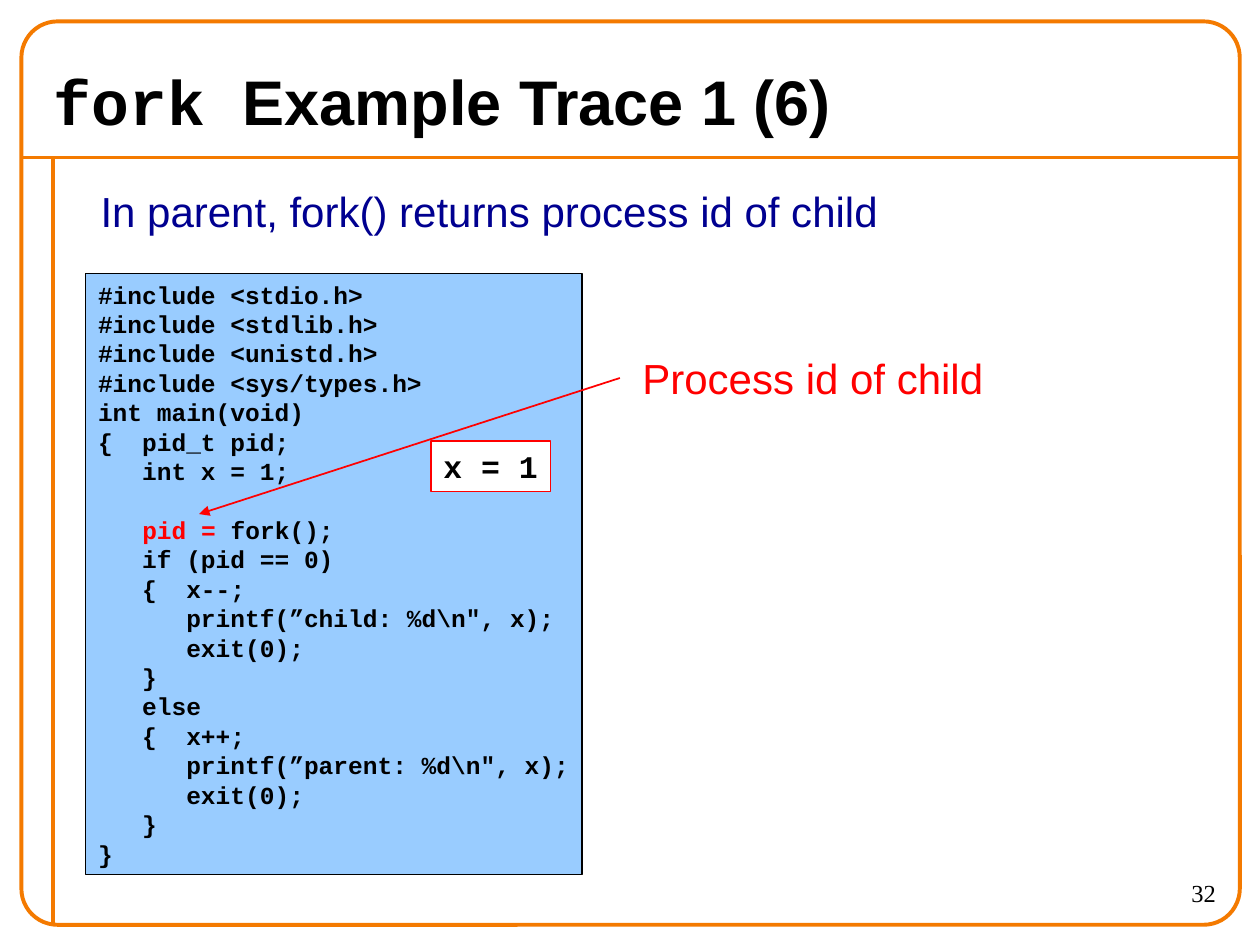
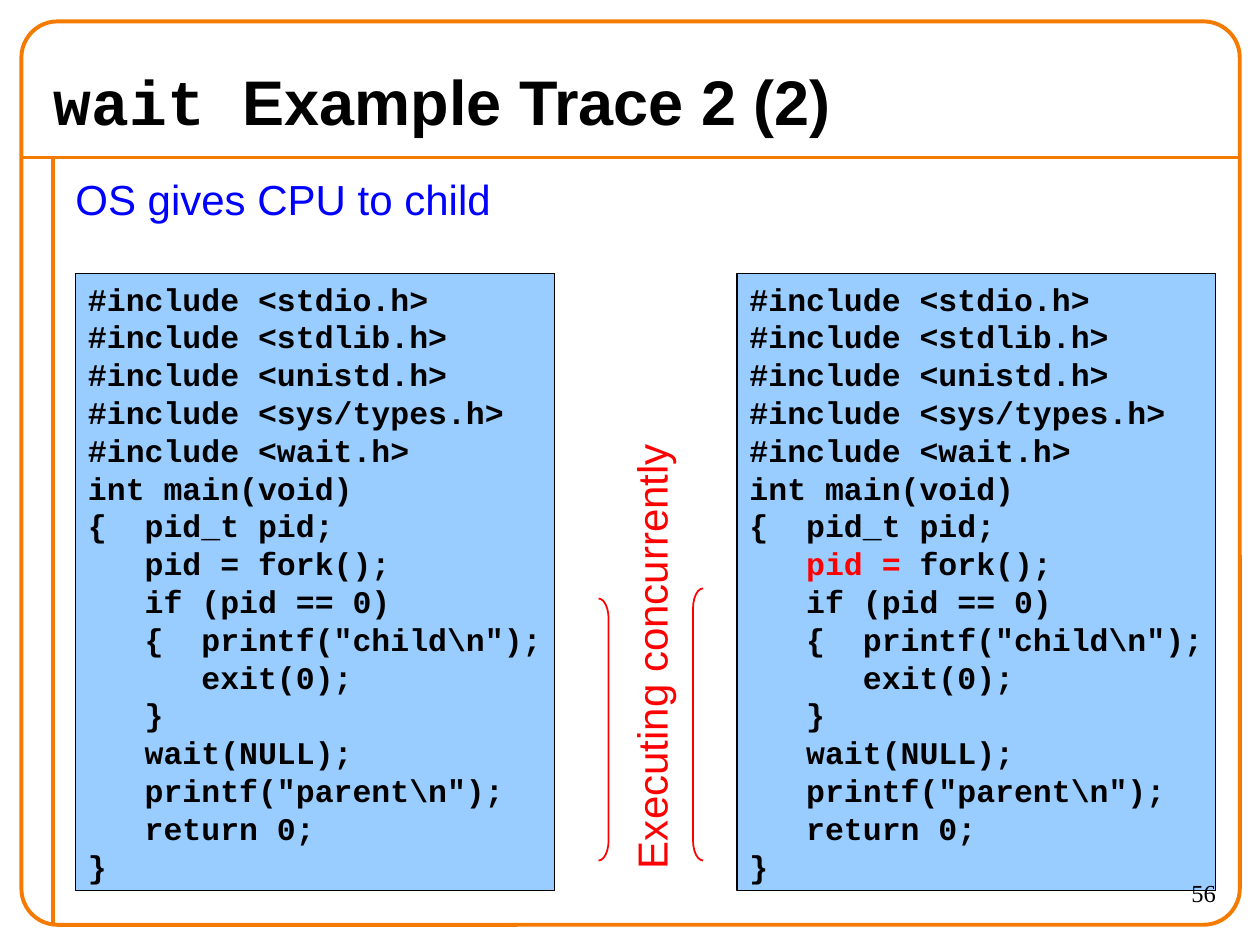
from dataclasses import dataclass

import pptx
import pptx.dml.color
import pptx.enum.shapes
import pptx.enum.text
import pptx.oxml
import pptx.oxml.ns
import pptx.util

SCALE = 9144
HUES = {
    "ink": "000000",
    "frame": "F47A00",
    "code": "99CCFF",
    "paper": "FFFFFF",
    "red": "FF0000",
    "navy": "000090",
    "blue": "0000FF",
}
SANS, MONO, SERIF = "Arial", "Courier New", "Times New Roman"
FORMS = pptx.enum.shapes.MSO_SHAPE
ALIGN = pptx.enum.text.PP_ALIGN
MARK = "pid = "

FORK = r'''#include <stdio.h>
#include <stdlib.h>
#include <unistd.h>
#include <sys/types.h>
int main(void)
{  pid_t pid;
   int x = 1;

   pid = fork();
   if (pid == 0)
   {  x--;
      printf(”child: %d\n", x);
      exit(0);
   }
   else
   {  x++;
      printf(”parent: %d\n", x);
      exit(0);
   }
}'''

WAIT = r'''#include <stdio.h>
#include <stdlib.h>
#include <unistd.h>
#include <sys/types.h>
#include <wait.h>
int main(void)
{  pid_t pid;
   pid = fork();
   if (pid == 0)
   {  printf("child\n");
      exit(0);
   }
   wait(NULL);
   printf("parent\n");
   return 0;
}'''


@dataclass(frozen=True)
class Box:
    left: int
    top: int
    width: int
    height: int


@dataclass(frozen=True)
class Run:
    text: str
    size: int
    hue: str = "ink"
    font: str = SANS
    bold: bool = False


@dataclass(frozen=True)
class Code:
    text: str
    size: int
    box: Box
    marked: bool = False
    fill: str = "code"
    edge: str = "ink"


@dataclass(frozen=True)
class Label:
    run: Run
    box: Box
    turn: int = 0


@dataclass(frozen=True)
class Line:
    start: tuple[int, int]
    end: tuple[int, int]
    hue: str
    weight: float
    arrow: bool = False


@dataclass(frozen=True)
class Brace:
    form: FORMS
    box: Box


@dataclass(frozen=True)
class Page:
    call: str
    title: str
    number: int
    codes: tuple[Code, ...]
    labels: tuple[Label, ...]
    lines: tuple[Line, ...] = ()
    braces: tuple[Brace, ...] = ()


def px(count: int) -> int:
    return count * SCALE


def rgb(hue: str) -> pptx.dml.color.RGBColor:
    return pptx.dml.color.RGBColor.from_string(HUES[hue])


def spots(box: Box) -> tuple[int, ...]:
    return px(box.left), px(box.top), px(box.width), px(box.height)


def add_run(para, run: Run) -> None:
    part = para.add_run()
    part.text = run.text
    font = part.font
    font.name, font.size, font.bold = run.font, pptx.util.Pt(run.size), run.bold
    font.color.rgb = rgb(run.hue)


def set_frame(shape):
    frame = shape.text_frame
    frame.word_wrap = True
    frame.margin_left, frame.margin_right = px(10), 0
    frame.margin_top = frame.margin_bottom = px(5)
    return frame


def add_text(slide, box: Box, runs: list[Run], align=ALIGN.LEFT):
    shape = slide.shapes.add_textbox(*spots(box))
    frame = set_frame(shape)
    para = frame.paragraphs[0]
    para.alignment = align
    for run in runs:
        add_run(para, run)
    return shape


def add_form(slide, form: FORMS, box: Box, edge: str, weight: float, fill: str = ""):
    shape = slide.shapes.add_shape(form, *spots(box))
    shape.shadow.inherit = False
    if fill:
        shape.fill.solid()
        shape.fill.fore_color.rgb = rgb(fill)
    else:
        shape.fill.background()
    shape.line.color.rgb = rgb(edge)
    shape.line.width = pptx.util.Pt(weight)
    return shape


def add_line(slide, line: Line) -> None:
    ends = [px(value) for value in line.start + line.end]
    link = slide.shapes.add_connector(pptx.enum.shapes.MSO_CONNECTOR.STRAIGHT, *ends)
    link.line.color.rgb = rgb(line.hue)
    link.line.width = pptx.util.Pt(line.weight)
    if line.arrow:
        tip = pptx.oxml.parse_xml(f'<a:tailEnd {pptx.oxml.ns.nsdecls("a")} type="triangle"/>')
        link.line._get_or_add_ln().append(tip)
    flat = pptx.oxml.parse_xml(f'<a:effectLst {pptx.oxml.ns.nsdecls("a")}/>')
    link._element.spPr.append(flat)


def add_code(slide, code: Code) -> None:
    shape = add_form(slide, FORMS.RECTANGLE, code.box, code.edge, 0.75, code.fill)
    frame = set_frame(shape)
    frame.vertical_anchor = pptx.enum.text.MSO_ANCHOR.TOP
    pitch = pptx.util.Pt(code.size * 1.2)
    para, gap = None, False
    for row in code.text.split("\n"):
        if not row:
            gap = True
            continue
        para = frame.add_paragraph() if para else frame.paragraphs[0]
        para.alignment = ALIGN.LEFT
        para.line_spacing = pitch
        if gap:
            para.space_before = pitch
            gap = False
        head, mark, tail = row.partition(MARK) if code.marked else (row, "", "")
        for text, hue in ((head, "ink"), (mark, "red"), (tail, "ink")):
            if text:
                add_run(para, Run(text, code.size, hue, MONO, True))


def add_base(slide, page: Page) -> None:
    for end in ((983, 125), (42, 733)):
        start = (min(17, end[0]) if end[1] == 125 else 42, 125)
        add_line(slide, Line(start, end, "frame", 2.25))
    border = add_form(slide, FORMS.ROUNDED_RECTANGLE, Box(17, 17, 967, 717), "frame", 2.25)
    border.adjustments[0] = 0.04
    title = [Run(page.call + " ", 36, font=MONO, bold=True), Run(page.title, 36, bold=True)]
    shape = add_text(slide, Box(33, 42, 933, 75), title)
    shape.text_frame.vertical_anchor = pptx.enum.text.MSO_ANCHOR.MIDDLE


def add_page(deck, page: Page) -> None:
    slide = deck.slides.add_slide(deck.slide_layouts[6])
    add_base(slide, page)
    for code in page.codes:
        add_code(slide, code)
    for line in page.lines:
        add_line(slide, line)
    for brace in page.braces:
        shape = add_form(slide, brace.form, brace.box, "red", 1)
        shape.adjustments[0] = 2
    for label in page.labels:
        add_text(slide, label.box, [label.run]).rotation = label.turn
    number = Run(str(page.number), 14, font=SERIF)
    add_text(slide, Box(875, 692, 90, 42), [number], ALIGN.RIGHT)


PAGES = (
    Page(
        "fork", "Example Trace 1 (6)", 32,
        codes=(
            Code(FORK, 14, Box(68, 217, 394, 477), marked=True),
            Code("x = 1", 18, Box(342, 350, 95, 40), fill="paper", edge="red"),
        ),
        labels=(
            Label(Run("In parent, fork() returns process id of child", 24, "navy"),
                  Box(70, 142, 637, 50)),
            Label(Run("Process id of child", 24, "red"), Box(500, 275, 325, 50)),
        ),
        lines=(Line((492, 300), (158, 408), "red", 1, arrow=True),),
    ),
    Page(
        "wait", "Example Trace 2 (2)", 56,
        codes=tuple(
            Code(WAIT, 18, Box(left, 217, 380, 490), marked)
            for left, marked in ((60, False), (585, True))
        ),
        labels=(
            Label(Run("OS gives CPU to child", 24, "blue"), Box(50, 133, 925, 50)),
            Label(Run("Executing concurrently", 24, "red"), Box(329, 487, 375, 50), 270),
        ),
        braces=(
            Brace(FORMS.LEFT_BRACKET, Box(550, 467, 8, 216)),
            Brace(FORMS.RIGHT_BRACKET, Box(475, 475, 8, 208)),
        ),
    ),
)


def main() -> None:
    deck = pptx.Presentation()
    deck.slide_width, deck.slide_height = px(1000), px(750)
    for page in PAGES:
        add_page(deck, page)
    deck.save("out.pptx")


if __name__ == "__main__":
    main()
